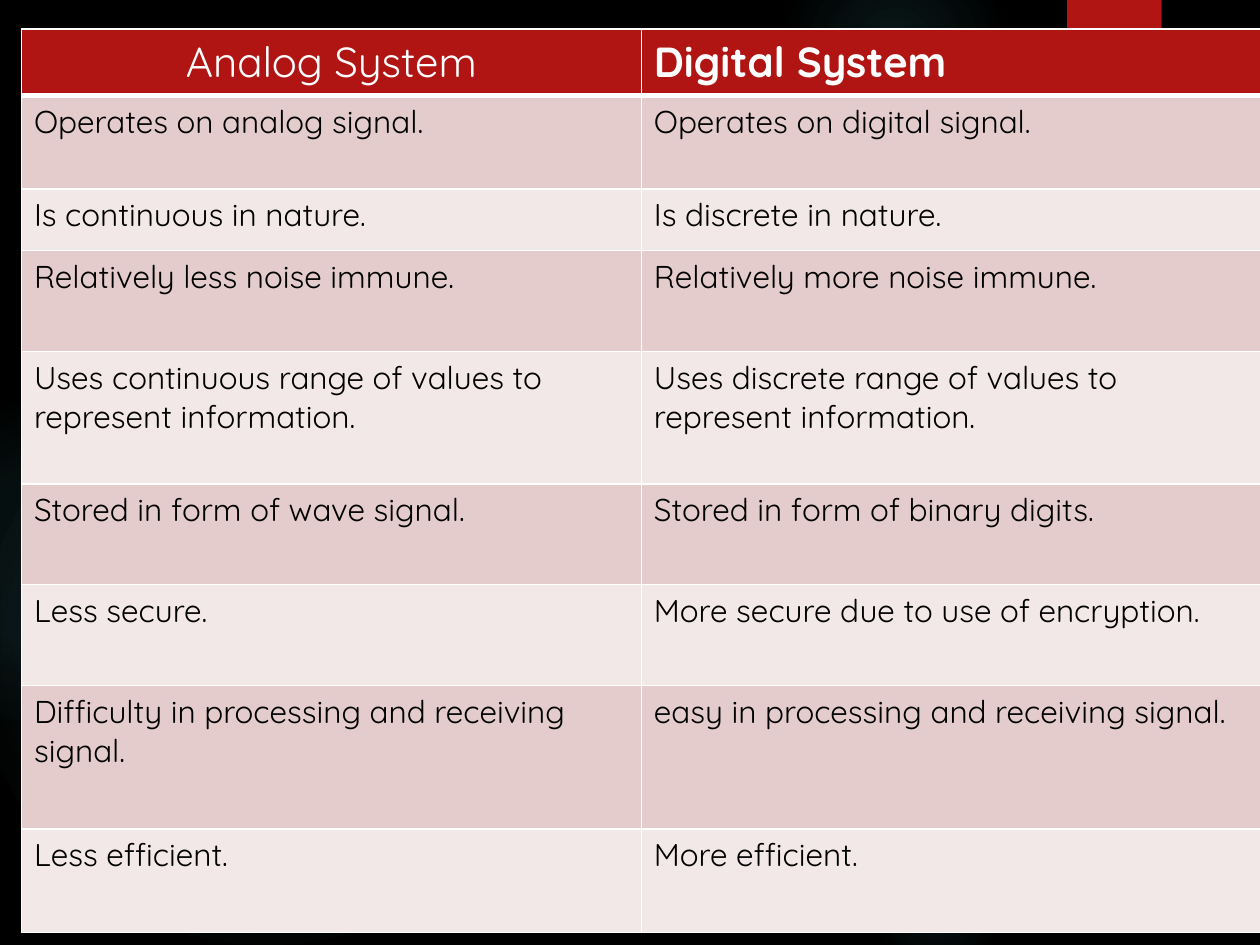
import lxml.etree
import pptx
import pptx.dml.color
import pptx.enum.shapes
import pptx.enum.text
import pptx.oxml
import pptx.oxml.ns
import pptx.util

Inches = pptx.util.Inches
Pt = pptx.util.Pt
qn = pptx.oxml.ns.qn
OVAL = pptx.enum.shapes.MSO_SHAPE.OVAL
RECTANGLE = pptx.enum.shapes.MSO_SHAPE.RECTANGLE


def paint(fill, color):
    fill.solid()
    fill.fore_color.rgb = pptx.dml.color.RGBColor.from_string(color)


def border(cell, side, points):
    line = pptx.oxml.parse_xml(
        f'<a:{side} {pptx.oxml.ns.nsdecls("a")} w="{Pt(points)}">'
        f'<a:solidFill><a:srgbClr val="FFFFFF"/></a:solidFill></a:{side}>')
    properties = cell._tc.get_or_add_tcPr()
    properties.insert(len(properties.findall("*")) - 1, line)


deck = pptx.Presentation()
deck.slide_width = Inches(10)
deck.slide_height = Inches(7.5)
slide = deck.slides.add_slide(deck.slide_layouts[6])
paint(slide.background.fill, "000000")

glows = [
    (6.22, -0.5, 1.75, [(0, 14), (36, 7), (73, 0)]),
    (6.89, 6.67, 1.08, [(0, 9), (36, 5), (66, 0)]),
    (-0.17, 2.92, 4.58, [(0, 11), (36, 10), (75, 0)]),
    (-0.92, 3.17, 2.58, [(0, 8), (36, 8), (72, 0)]),
]
for left, top, size, stops in glows:
    glow = slide.shapes.add_shape(OVAL, Inches(left), Inches(top), Inches(size), Inches(size))
    glow.shadow.inherit = False
    glow.line.fill.background()
    glow.fill.gradient()
    gradient = glow._element.spPr.find(qn("a:gradFill"))
    for part in list(gradient):
        gradient.remove(part)
    stop_list = lxml.etree.SubElement(gradient, qn("a:gsLst"))
    for position, alpha in stops:
        stop = lxml.etree.SubElement(stop_list, qn("a:gs"), pos=str(position * 1000))
        color = lxml.etree.SubElement(stop, qn("a:srgbClr"), val="50B9C1")
        lxml.etree.SubElement(color, qn("a:alpha"), val=str(alpha * 1000))
    circle = lxml.etree.SubElement(gradient, qn("a:path"), path="circle")
    lxml.etree.SubElement(circle, qn("a:fillToRect"), l="50000", t="50000", r="50000", b="50000")

tab = slide.shapes.add_shape(RECTANGLE, Inches(8.47), 0, Inches(0.75), Inches(1.2))
tab.shadow.inherit = False
tab.line.fill.background()
paint(tab.fill, "B01513")

comparison = [
    (0.53, "Analog System", "Digital System"),
    (0.74, "Operates on analog signal.", "Operates on digital signal."),
    (0.49, "Is continuous in nature.", "Is discrete in nature."),
    (0.8, "Relatively less noise immune.", "Relatively more noise immune."),
    (1.05, "Uses continuous range of values to represent information.",
     "Uses discrete range of values to represent information."),
    (0.8, "Stored in form of wave signal.", "Stored in form of binary digits."),
    (0.8, "Less secure.", "More secure due to use of encryption."),
    (1.14, "Difficulty in processing and receiving signal.",
     "easy in processing and receiving signal."),
    (0.82, "Less efficient.", "More efficient."),
]
table = slide.shapes.add_table(
    len(comparison), 2, Inches(0.17), Inches(0.23), Inches(9.83), Inches(7.17)).table
for column in table.columns:
    column.width = Inches(4.92)

for row, (height, *statements) in enumerate(comparison):
    table.rows[row].height = Inches(height)
    header = row == 0
    for column, statement in enumerate(statements):
        cell = table.cell(row, column)
        paint(cell.fill, "B01513" if header else "E4CCCC" if row % 2 else "F2E8E7")
        for side in ("lnL", "lnR", "lnT", "lnB"):
            heavy = (row, side) in ((0, "lnB"), (1, "lnT"))
            border(cell, side, 3 if heavy else 1)
        paragraph = cell.text_frame.paragraphs[0]
        if header and column == 0:
            paragraph.alignment = pptx.enum.text.PP_ALIGN.CENTER
        run = paragraph.add_run()
        run.text = statement
        run.font.name = "Quicksand"
        run.font.size = Pt(24 if header else 18)
        run.font.bold = header and column == 1
        paint(run.font.fill, "FFFFFF" if header else "000000")

deck.save("out.pptx")
